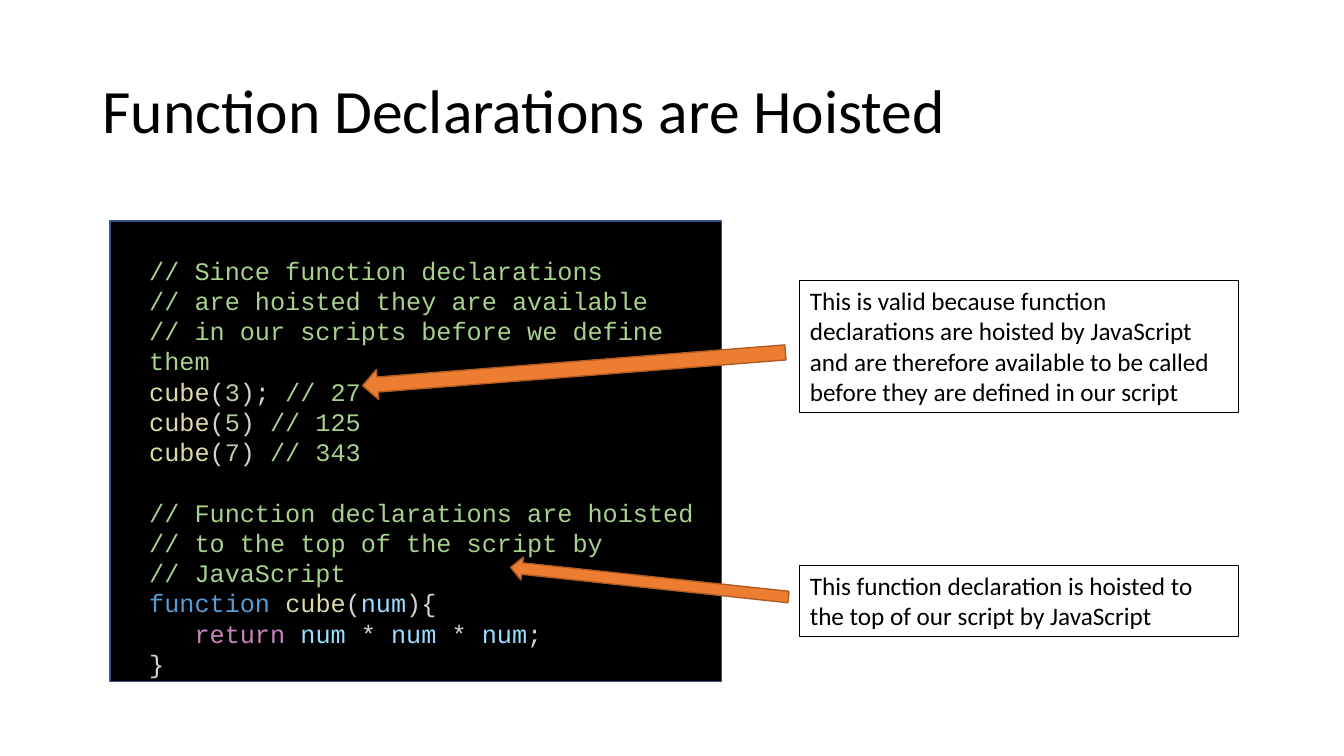
from pptx import Presentation
from pptx.dml.color import RGBColor
from pptx.enum.shapes import MSO_SHAPE as Shape
from pptx.enum.text import MSO_ANCHOR as Anchor, PP_ALIGN as Align
from pptx.util import Cm, Pt

BLACK = RGBColor(0x00, 0x00, 0x00)
NAVY = RGBColor(0x32, 0x54, 0x91)
ORANGE = RGBColor(0xED, 0x7D, 0x31)
RUST = RGBColor(0xAF, 0x5C, 0x24)
COMMENT = RGBColor(0xA9, 0xD1, 0x8E)
FUNCTION = RGBColor(0xDC, 0xDC, 0xAA)
PLAIN = RGBColor(0xD4, 0xD4, 0xD4)
NUMBER = RGBColor(0xB5, 0xCE, 0xA8)
KEYWORD = RGBColor(0x56, 0x9C, 0xD6)
VARIABLE = RGBColor(0x9C, 0xDC, 0xFE)
CONTROL = RGBColor(0xC5, 0x86, 0xC0)

TITLE = "Function Declarations are Hoisted"


def call(argument, ending, result):
    """One coloured code line that calls cube and notes its result."""
    return [("cube", FUNCTION), ("(", PLAIN), (argument, NUMBER),
            (ending, PLAIN), (result, COMMENT)]


INTRO_CODE = [
    [("// Since function declarations", COMMENT)],
    [("// are hoisted they are available", COMMENT)],
    [("// in our scripts before we define them", COMMENT)],
    call("3", "); ", "// 27"),
    call("5", ") ", "// 125"),
    call("7", ") ", "// 343"),
]
DECLARATION_CODE = [
    [("// Function declarations are hoisted", COMMENT)],
    [("// to the top of the script by", COMMENT)],
    [("// JavaScript", COMMENT)],
    [("function ", KEYWORD), ("cube", FUNCTION), ("(", PLAIN),
     ("num", VARIABLE), ("){", PLAIN)],
    [("   return ", CONTROL), ("num", VARIABLE), (" * ", PLAIN),
     ("num", VARIABLE), (" * ", PLAIN), ("num", VARIABLE), (";", PLAIN)],
    [("}", PLAIN)],
]
CODE_LINE_HEIGHT = Pt(21.6)

# text, top and height in cm
NOTES = [
    ("This is valid because function declarations are hoisted by JavaScript "
     "and are therefore available to be called before they are defined in our "
     "script", 7.07, 3.33),
    ("This function declaration is hoisted to the top of our script by "
     "JavaScript", 14.25, 1.8),
]
NOTE_LEFT, NOTE_WIDTH = 20.16, 11.06

# left, top, width, height in cm, then rotation in degrees
ARROWS = [
    (9.12, 8.92, 10.69, 0.76, 175.5),
    (12.85, 14.38, 7.04, 0.58, 186.1),
]


def write(para, text, font="Calibri", size=18, color=BLACK):
    span = para.add_run()
    span.text = text
    span.font.name = font
    span.font.size = Pt(size)
    span.font.color.rgb = color


def add_shape(page, kind, bounds, fill, line, line_width):
    shape = page.shapes.add_shape(kind, *map(Cm, bounds))
    shape.shadow.inherit = False
    if fill is None:
        shape.fill.background()
    else:
        shape.fill.solid()
        shape.fill.fore_color.rgb = fill
    shape.line.color.rgb = line
    shape.line.width = Pt(line_width)
    return shape


def add_title(page):
    title = page.shapes.title
    title.left, title.top, title.width, title.height = map(
        Cm, (2.33, 1.01, 29.21, 3.68))
    title.text_frame.vertical_anchor = Anchor.MIDDLE
    para = title.text_frame.paragraphs[0]
    para.alignment = Align.LEFT
    para.line_spacing = 0.9
    write(para, TITLE, size=44)


def add_code(page):
    add_shape(page, Shape.RECTANGLE, (2.77, 5.57, 15.42, 11.61), BLACK, NAVY, 1)
    box = page.shapes.add_textbox(*map(Cm, (3.51, 6.3, 14.4, 10.26)))
    frame = box.text_frame
    frame.word_wrap = True
    for index, line in enumerate(INTRO_CODE + DECLARATION_CODE):
        para = frame.add_paragraph() if index else frame.paragraphs[0]
        if index == len(INTRO_CODE):
            para.space_before = CODE_LINE_HEIGHT
        for text, color in line:
            write(para, text, font="Courier New", color=color)


def add_note(page, text, top, height):
    bounds = (NOTE_LEFT, top, NOTE_WIDTH, height)
    note = add_shape(page, Shape.RECTANGLE, bounds, None, BLACK, 0.75)
    frame = note.text_frame
    frame.word_wrap = True
    frame.vertical_anchor = Anchor.TOP
    para = frame.paragraphs[0]
    para.alignment = Align.LEFT
    write(para, text)


def main():
    deck = Presentation()
    deck.slide_width, deck.slide_height = Cm(33.87), Cm(19.05)
    page = deck.slides.add_slide(deck.slide_layouts[5])
    add_title(page)
    add_code(page)
    for note, (*bounds, rotation) in zip(NOTES, ARROWS):
        add_note(page, *note)
        arrow = add_shape(page, Shape.RIGHT_ARROW, bounds, ORANGE, RUST, 1)
        arrow.rotation = rotation
    deck.save("out.pptx")


if __name__ == "__main__":
    main()
